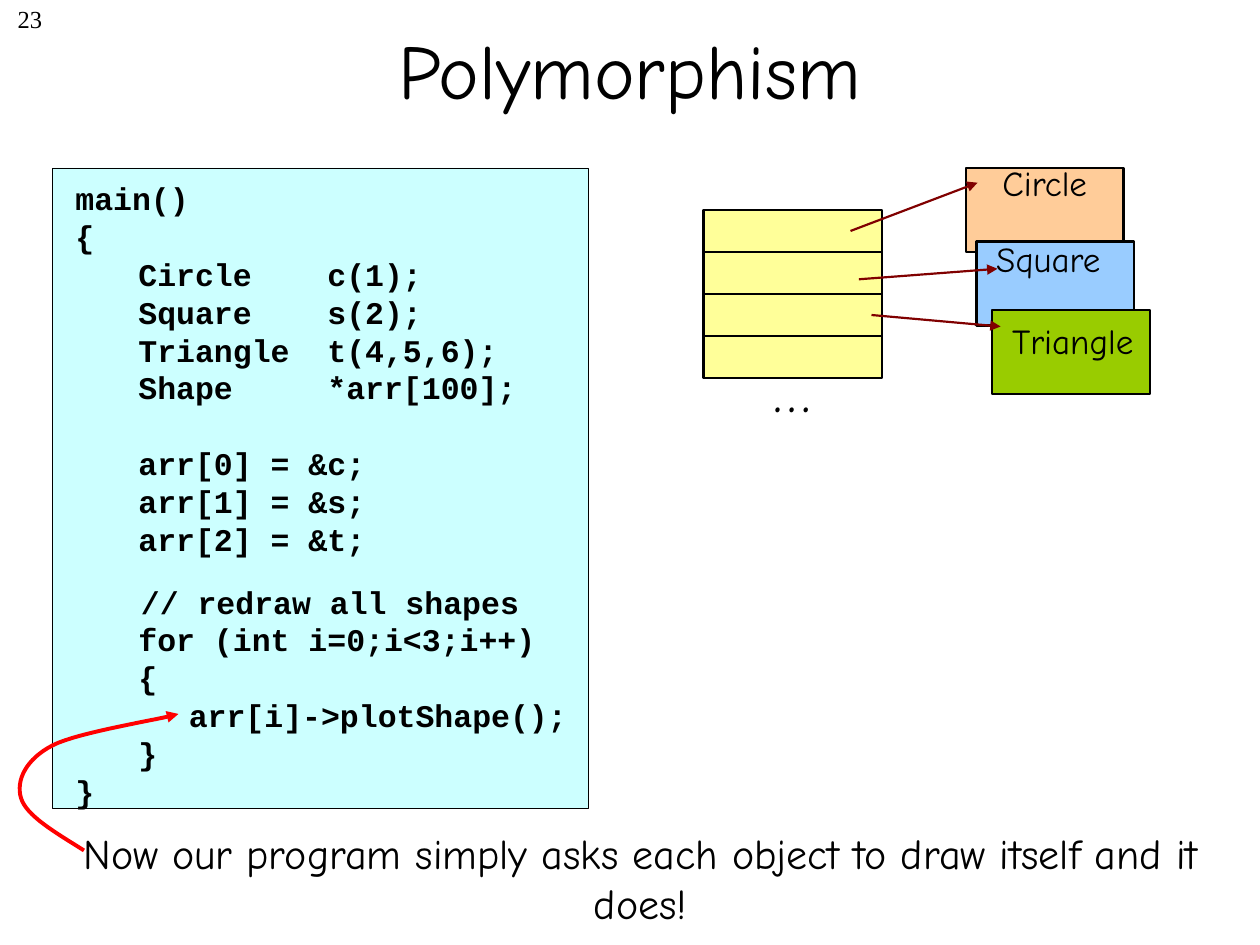
"""Build the polymorphism slide: code panel, pointer array and shape objects."""
from dataclasses import dataclass

from lxml import etree
from pptx import Presentation
from pptx.dml.color import RGBColor
from pptx.enum.shapes import MSO_CONNECTOR, MSO_SHAPE
from pptx.enum.text import MSO_ANCHOR, PP_ALIGN
from pptx.oxml.ns import qn
from pptx.util import Inches, Pt

RECT, LINE = MSO_SHAPE.RECTANGLE, MSO_CONNECTOR.STRAIGHT
LEFT, MID, RIGHT = PP_ALIGN.LEFT, PP_ALIGN.CENTER, PP_ALIGN.RIGHT
TOP, CENTER = MSO_ANCHOR.TOP, MSO_ANCHOR.MIDDLE
WIDE, HIGH = Inches(10), Inches(7.5)
COLS, ROWS = 120, 90
BLACK, RED, MAROON = "000000", "FF0000", "800000"
SANS, MONO, SERIF = "Comic Neue", "Courier New", "Times New Roman"
PITCH = 21.6
STEPS = 16


@dataclass
class Box:
    """A place on the grid, in columns and rows."""
    col: float
    row: float
    wide: float
    high: float

    def emu(self) -> tuple:
        """Return left, top, width and height in EMU."""
        return (*spot(self.col, self.row), *spot(self.wide, self.high))


@dataclass
class Item:
    """An object with its label and the arrow that points to it."""
    name: str
    fill: str
    box: Box
    label: Box
    start: tuple
    end: tuple


@dataclass
class Code:
    """A line of code with its indent in inches and gap above in points."""
    text: str
    indent: float = 0.5
    gap: float = 0


ITEMS = [
    Item("Circle", "FFCC99", Box(92, 16, 15, 8), Box(94.3, 14.8, 13, 5.2),
         (81, 22), (93.1, 17.4)),
    Item("Square", "99CCFF", Box(93, 23, 15, 8), Box(93.7, 22, 14, 5.2),
         (81.8, 26.6), (95, 25.6)),
    Item("Triangle", "99CC00", Box(94.5, 29.5, 15, 8), Box(95.2, 29.8, 14, 5.2),
         (83, 30), (95.3, 31.1)),
]
LINES = [
    Code("main()"),
    Code("{"),
    Code("Circle\t\tc(1);", 1),
    Code("Square\t\ts(2);", 1),
    Code("Triangle\tt(4,5,6);", 1),
    Code("Shape\t\t*arr[100];", 1),
    Code("arr[0] = &c;", 1, PITCH),
    Code("arr[1] = &s;", 1),
    Code("arr[2] = &t;", 1),
    Code("// redraw all shapes", 1.02, 14.4),
    Code("for (int i=0;i<3;i++)", 1),
    Code("{", 1),
    Code("arr[i]->plotShape();", 1.4),
    Code("}", 1),
    Code("}"),
]
CURVE = [
    ((8, 81), (5.3, 79.3), (2.5, 77.7), (2, 76)),
    ((2, 76), (1.5, 74.3), (2.5, 72.3), (5, 71)),
    ((5, 71), (7.5, 69.7), (15.5, 68.5), (17, 68)),
]


def spot(col: float, row: float) -> tuple:
    """Turn a grid point into EMU."""
    return round(col * WIDE / COLS), round(row * HIGH / ROWS)


def hue(code: str) -> RGBColor:
    """Turn a hex string into a colour."""
    return RGBColor.from_string(code)


def stroke(shape, code: str, width: float) -> None:
    """Set the line of a shape."""
    shape.line.color.rgb = hue(code)
    shape.line.width = Pt(width)


def tip(shape) -> None:
    """Add an arrowhead at the end of a line."""
    etree.SubElement(shape.line._get_or_add_ln(), qn("a:tailEnd"), type="triangle")


def rect(slide, box: Box, fill: str, width: float) -> None:
    """Draw a filled rectangle with a black edge."""
    shape = slide.shapes.add_shape(RECT, *box.emu())
    shape.shadow.inherit = False
    shape.fill.solid()
    shape.fill.fore_color.rgb = hue(fill)
    stroke(shape, BLACK, width)


def arrow(slide, start: tuple, end: tuple) -> None:
    """Draw a straight arrow between two grid points."""
    line = slide.shapes.add_connector(LINE, *spot(*start), *spot(*end))
    stroke(line, MAROON, 1.25)
    tip(line)
    etree.SubElement(line._element.spPr, qn("a:effectLst"))


def style(para, look: dict) -> None:
    """Apply font values to a paragraph's runs."""
    for run in para.runs:
        for key, value in look.items():
            setattr(run.font, key, value)
        run.font.color.rgb = hue(BLACK)


def text(slide, box: Box, words: str, size: float, align=MID, font: str = SANS,
         anchor=TOP, wrap: bool = True) -> None:
    """Place one paragraph of text."""
    frame = slide.shapes.add_textbox(*box.emu()).text_frame
    frame.word_wrap, frame.vertical_anchor = wrap, anchor
    para = frame.paragraphs[0]
    para.text, para.alignment = words, align
    style(para, {"name": font, "size": Pt(size)})


def listing(slide, box: Box, lines: list) -> None:
    """Place the lines of code."""
    frame = slide.shapes.add_textbox(*box.emu()).text_frame
    frame.word_wrap = True
    for num, line in enumerate(lines):
        para = frame.add_paragraph() if num else frame.paragraphs[0]
        para.text = line.text
        para.line_spacing, para.space_before = Pt(PITCH), Pt(line.gap)
        props = para._p.get_or_add_pPr()
        props.set("marL", "0")
        props.set("indent", str(Inches(line.indent)))
        style(para, {"name": MONO, "size": Pt(18), "bold": True})


def blend(curve: tuple, t: float) -> tuple:
    """Return the point at share t of a cubic curve."""
    parts = ((1 - t) ** 3, 3 * t * (1 - t) ** 2, 3 * t * t * (1 - t), t ** 3)
    return spot(*(sum(p * c for p, c in zip(parts, axis)) for axis in zip(*curve)))


def swoop(slide, curves: list) -> None:
    """Draw the curved arrow."""
    pen = slide.shapes.build_freeform(*spot(*curves[0][0]))
    pen.add_line_segments([blend(curve, step / STEPS) for curve in curves
                           for step in range(1, STEPS + 1)], close=False)
    shape = pen.convert_to_shape()
    shape.shadow.inherit = False
    shape.fill.background()
    stroke(shape, RED, 2.25)
    tip(shape)


def main() -> None:
    """Build and save the slide."""
    deck = Presentation()
    deck.slide_width, deck.slide_height = WIDE, HIGH
    slide = deck.slides.add_slide(deck.slide_layouts[6])
    text(slide, Box(0, -0.2, 5.2, 6), "23", 14, RIGHT, SERIF)
    text(slide, Box(9, -1, 102, 15), "Polymorphism", 44, anchor=CENTER)
    rect(slide, Box(5, 16, 51, 61), "CCFFFF", 0.25)
    listing(slide, Box(0, 16.5, 59, 61), LINES)
    text(slide, Box(5, 78.2, 112, 11),
         "Now our program simply asks each object to draw itself and it does!", 24)
    swoop(slide, CURVE)
    for num in range(4):
        rect(slide, Box(67, 20 + 4 * num, 17, 4), "FFFF99", 1.25)
    text(slide, Box(72.4, 33.4, 6, 7.6), "…", 32, wrap=False)
    for item in ITEMS:
        rect(slide, item.box, item.fill, 1.25)
        arrow(slide, item.start, item.end)
        text(slide, item.label, item.name, 20, LEFT, wrap=False)
    deck.save("out.pptx")


if __name__ == "__main__":
    main()
